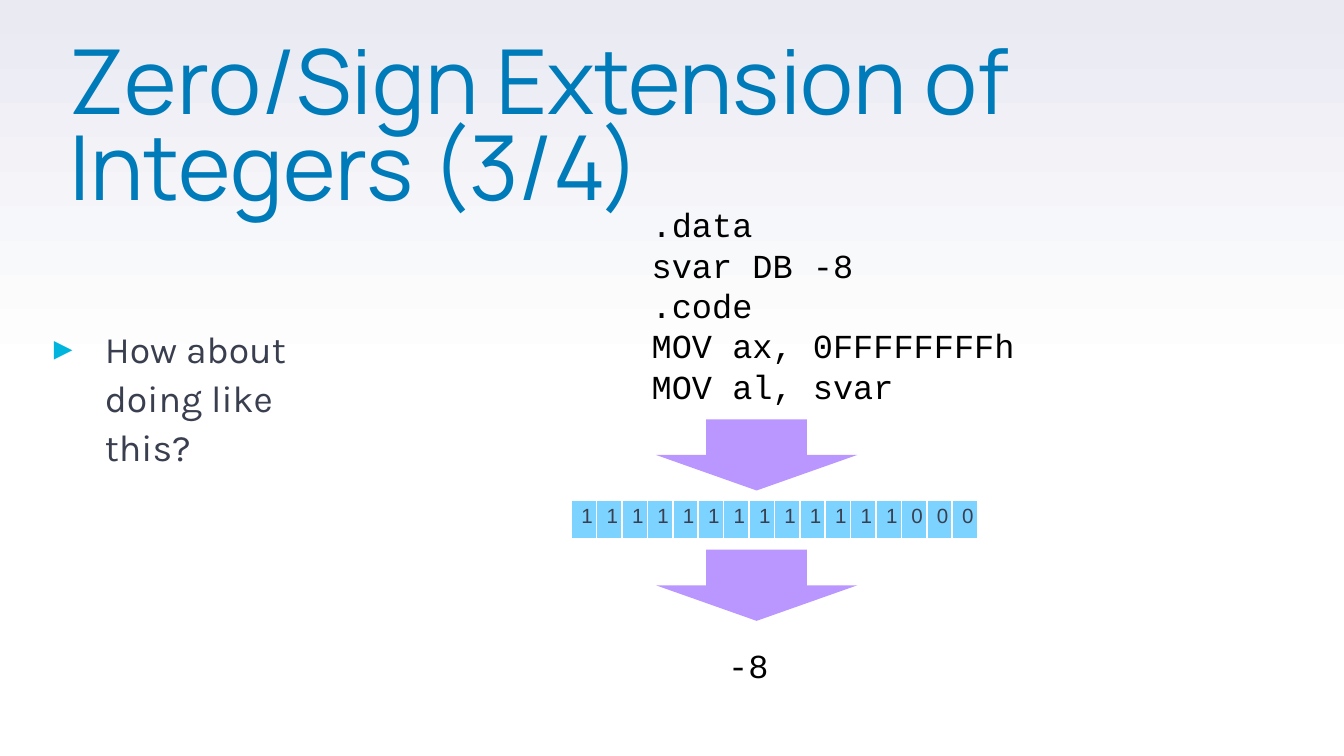
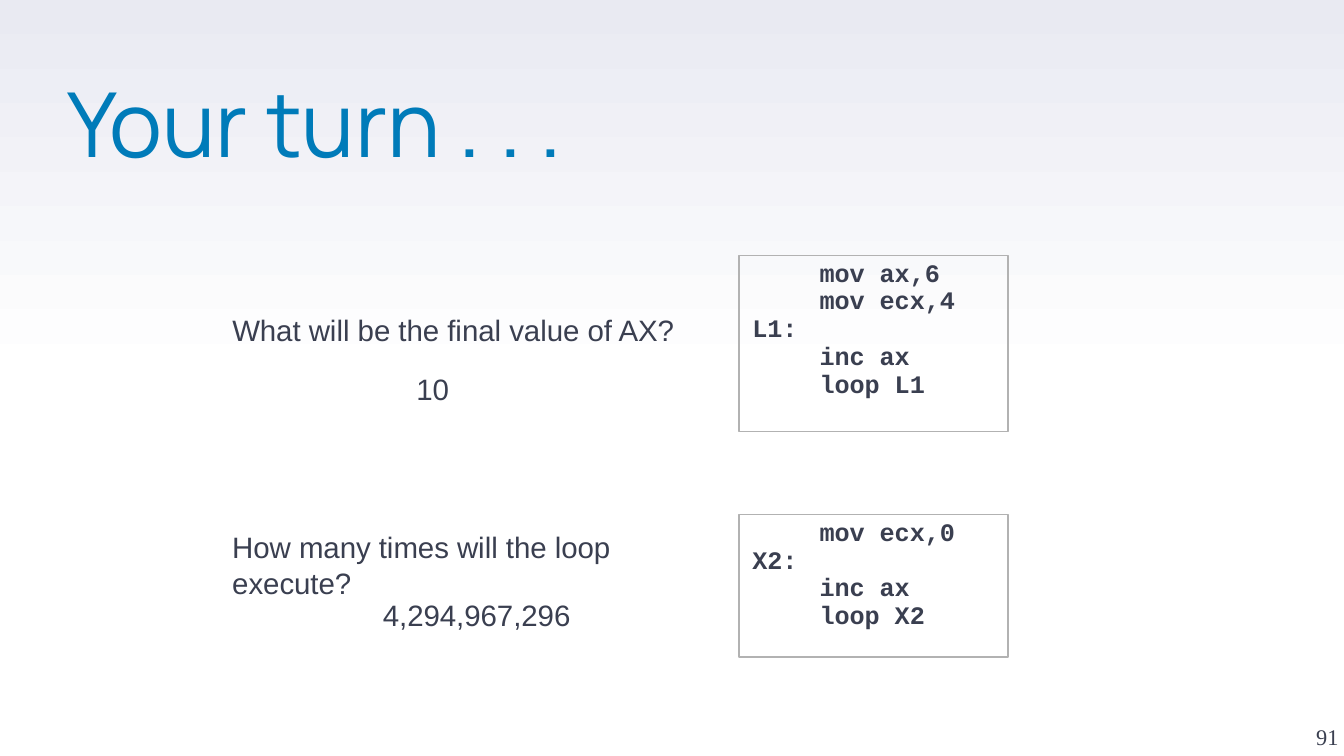
"""Build two assembly language slides: sign extension and a loop exercise."""
from copy import deepcopy

from lxml import etree
from pptx import Presentation
from pptx.dml.color import RGBColor
from pptx.enum.shapes import MSO_SHAPE
from pptx.enum.text import MSO_ANCHOR, MSO_AUTO_SIZE, PP_ALIGN
from pptx.oxml.ns import qn
from pptx.util import Inches, Pt

ARROW, RECT = MSO_SHAPE.DOWN_ARROW, MSO_SHAPE.RECTANGLE
TOP, BOTTOM = MSO_ANCHOR.TOP, MSO_ANCHOR.BOTTOM
LEFT, MID, RIGHT = PP_ALIGN.LEFT, PP_ALIGN.CENTER, PP_ALIGN.RIGHT
FIXED = MSO_AUTO_SIZE.NONE
INK = {"title": "007BB9", "text": "3A3F50", "code": "000000", "mark": "00B5DD",
       "cell": "7DD3FF", "arrow": "BA96FF", "line": "B2B2B2",
       "white": "FFFFFF", "sky": "E9EAF2"}


def rgb(name):
    return RGBColor.from_string(INK[name])


def write(shape, text, font, size, color, pad=(0, 0), wrap=True, align=LEFT,
          anchor=TOP, bold=False, pitch=None, before=None):
    frame = shape.text_frame
    frame.text = text
    frame.word_wrap = wrap
    frame.auto_size = FIXED
    frame.vertical_anchor = anchor
    frame.margin_left = frame.margin_right = Inches(pad[0])
    frame.margin_top = frame.margin_bottom = Inches(pad[1])
    for para in frame.paragraphs:
        para.alignment = align
        para.line_spacing = pitch
        para.space_before = before
        for run in para.runs:
            run.font.name = font
            run.font.size = Pt(size)
            run.font.bold = bold
            run.font.color.rgb = rgb(color)
    return frame


deck = Presentation()
deck.slide_width, deck.slide_height = Inches(10), Inches(10 * 9 / 16)

master = deck.slide_master
fill = master.background.fill
fill.gradient()
fill.gradient_angle = 90
stops = master.element.find(".//" + qn("a:gsLst"))
stops.insert(1, deepcopy(stops[0]))
for stop, (spot, name) in zip(fill.gradient_stops,
                              [(0, "white"), (0.5, "white"), (1, "sky")]):
    stop.position = spot
    stop.color.rgb = rgb(name)

pages = []
for layout, left, top, text in [
        (1, 0.52, 0.34, "Zero/Sign Extension of Integers (3/4)"),
        (5, 0.5, 0.66, "Your turn . . .")]:
    page = deck.slides.add_slide(deck.slide_layouts[layout])
    title = page.shapes.title
    title.left, title.top = Inches(left), Inches(top)
    title.width, title.height = Inches(8.96), Inches(1.18)
    write(title, text, "Manrope", 48, "title", pitch=0.8)
    pages.append(page)
extend, turn = pages

body = extend.placeholders[1]
body.left, body.top = Inches(0.28), Inches(2.39)
body.width, body.height = Inches(2.44), Inches(3.71)
frame = write(body, "How about doing like this?", "Karla", 20, "text",
              pitch=1.1, before=Pt(6))
props = frame.paragraphs[0]._p.get_or_add_pPr()
props.set("marL", str(Inches(0.5)))
props.set("indent", str(Inches(-0.38)))
tint = etree.SubElement(props, qn("a:buClr"))
etree.SubElement(tint, qn("a:srgbClr"), val=INK["mark"])
etree.SubElement(props, qn("a:buChar"), char="▸")

code = ".data\nsvar DB -8\n.code\nMOV ax, 0FFFFFFFFh\nMOV al, svar"
for left, top, width, height, text in [(4.75, 1.47, 2.92, 1.62, code),
                                       (5.32, 4.75, 0.5, 0.4, "-8")]:
    box = extend.shapes.add_textbox(Inches(left), Inches(top),
                                    Inches(width), Inches(height))
    write(box, text, "Courier New", 18, "code", pad=(0.1, 0.05), wrap=False)

bits = "1111111111111000"
grid = extend.shapes.add_table(1, len(bits), Inches(4.25), Inches(3.72),
                               Inches(2.84), Inches(0.3)).table
for cell, bit in zip(grid.iter_cells(), bits):
    cell.text = bit
    cell.margin_left = cell.margin_right = Pt(5.4)
    cell.margin_top = cell.margin_bottom = Pt(2.7)
    para = cell.text_frame.paragraphs[0]
    para.alignment = MID
    font = para.runs[0].font
    font.name, font.size, font.bold = "Arial", Pt(11), False
    font.color.rgb = rgb("text")
    props = cell._tc.get_or_add_tcPr()
    for side, width in [("L", 1), ("R", 1), ("T", 1), ("B", 3)]:
        edge = etree.SubElement(props, qn("a:ln" + side), w=str(Pt(width)))
        paint = etree.SubElement(edge, qn("a:solidFill"))
        etree.SubElement(paint, qn("a:srgbClr"), val=INK["white"])
    cell.fill.solid()
    cell.fill.fore_color.rgb = rgb("cell")

for top in (3.12, 4.09):
    arrow = extend.shapes.add_shape(ARROW, Inches(4.88), Inches(top),
                                    Inches(1.5), Inches(0.53))
    arrow.shadow.inherit = False
    arrow.fill.solid()
    arrow.fill.fore_color.rgb = rgb("arrow")
    arrow.line.fill.background()

for left, top, width, height, text in [
        (1.63, 2.21, 4.12, 0.49, "What will be the final value of AX?"),
        (1.63, 3.83, 3.5, 0.76, "How many times will the loop execute?"),
        (3, 2.65, 0.5, 0.49, "10"),
        (2.75, 4.33, 1.75, 0.49, "4,294,967,296")]:
    box = turn.shapes.add_textbox(Inches(left), Inches(top),
                                  Inches(width), Inches(height))
    write(box, text, "Arial", 15.75, "text", pad=(0.1, 0.11))

for top, height, text in [
        (1.9, 1.31, "\tmov ax,6\n\tmov ecx,4\nL1:\n\tinc ax\n\tloop L1"),
        (3.83, 1.06, "\tmov ecx,0\nX2:\n\tinc ax\n\tloop X2")]:
    box = turn.shapes.add_shape(RECT, Inches(5.5), Inches(top),
                                Inches(2), Inches(height))
    box.shadow.inherit = False
    box.fill.background()
    box.line.color.rgb = rgb("line")
    box.line.width = Pt(0.75)
    frame = write(box, text, "Courier New", 13.5, "text", pad=(0.1, 0.11),
                  wrap=False, bold=True, pitch=0.5, before=Pt(6.75))
    for para in frame.paragraphs:
        tabs = etree.SubElement(para._p.get_or_add_pPr(), qn("a:tabLst"))
        etree.SubElement(tabs, qn("a:tab"), pos=str(Inches(0.5)), algn="l")

box = turn.shapes.add_textbox(Inches(9.46), Inches(5.07), Inches(0.5), Inches(0.51))
write(box, "91", "Times New Roman", 12, "text", align=RIGHT, anchor=BOTTOM)

deck.save("out.pptx")
